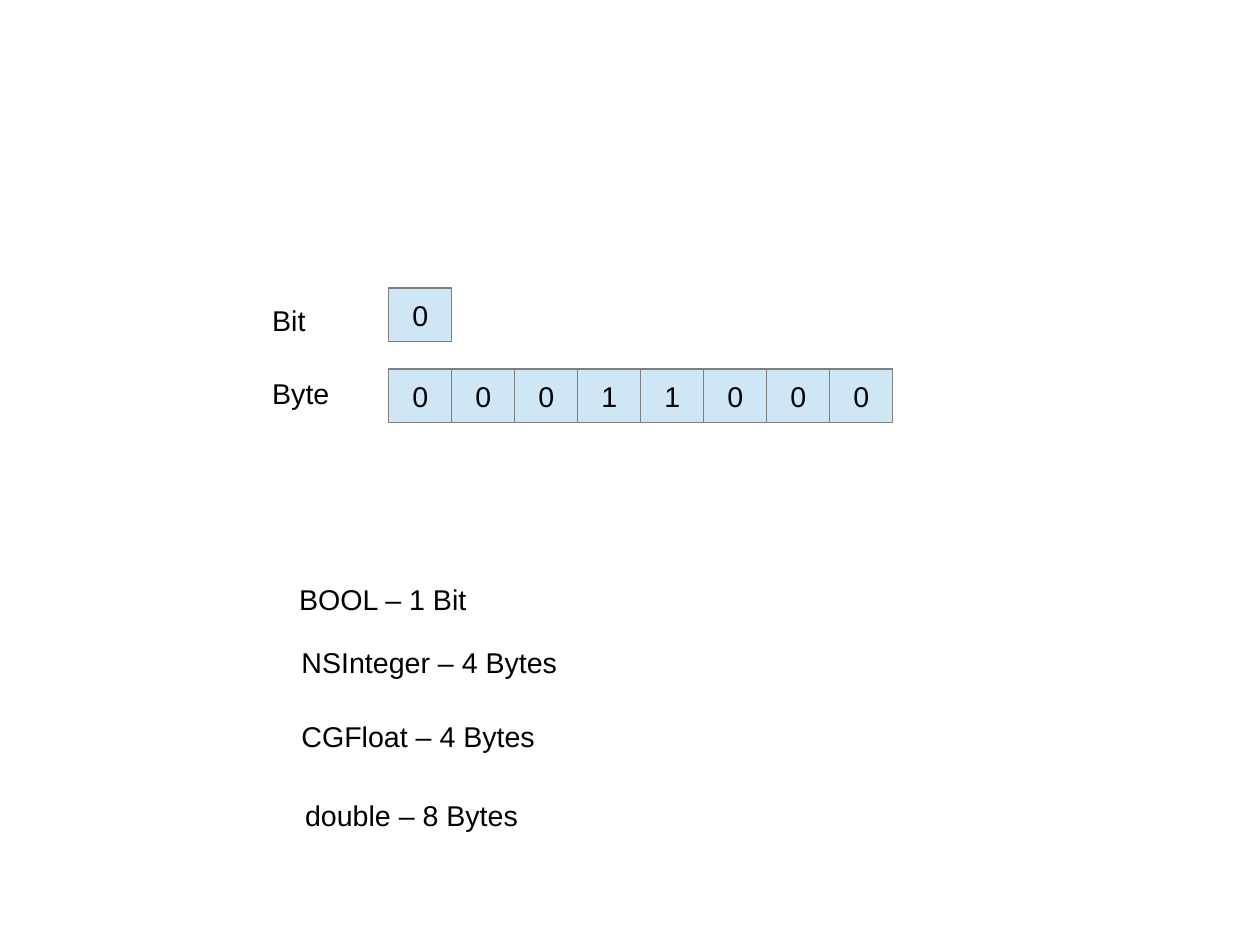
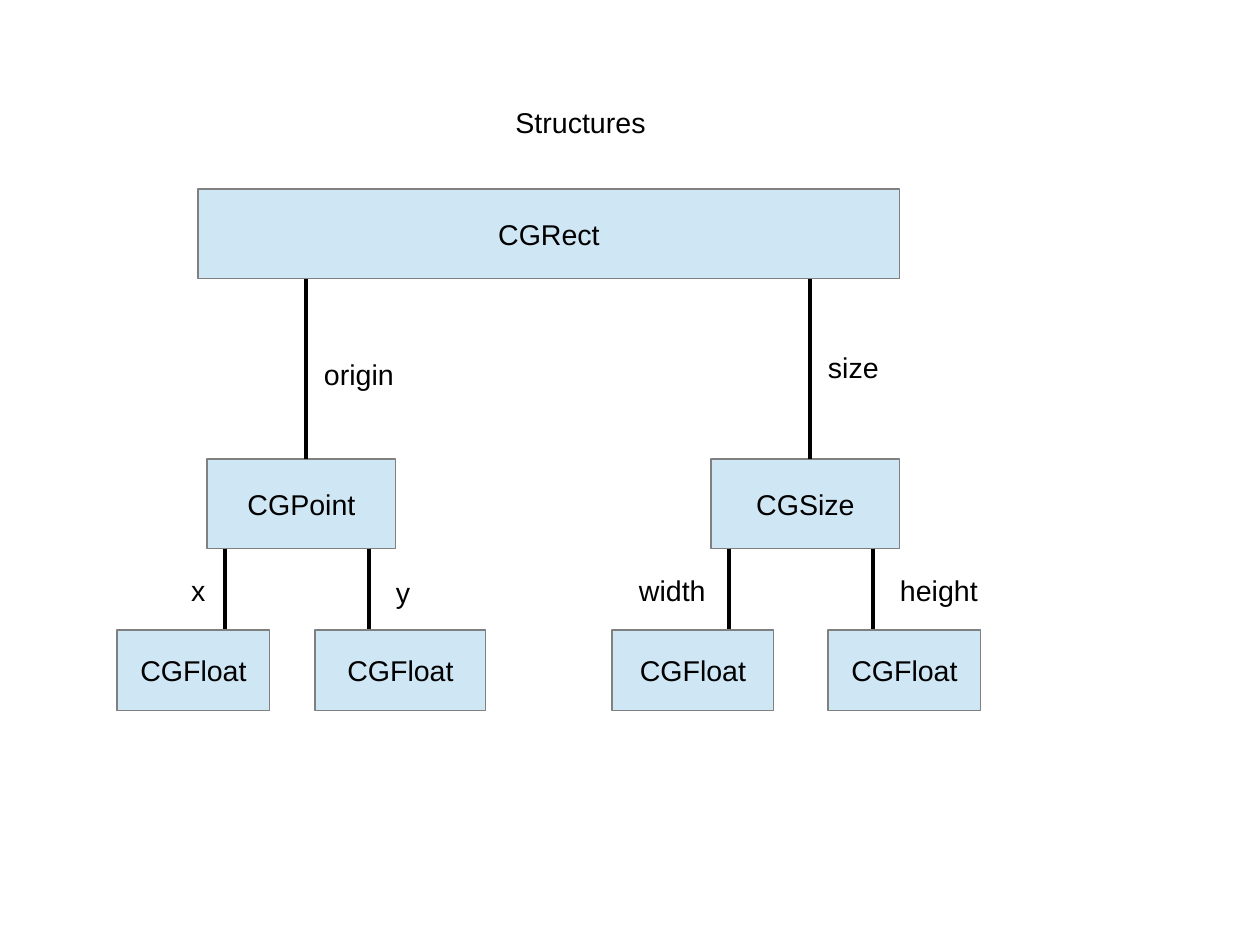
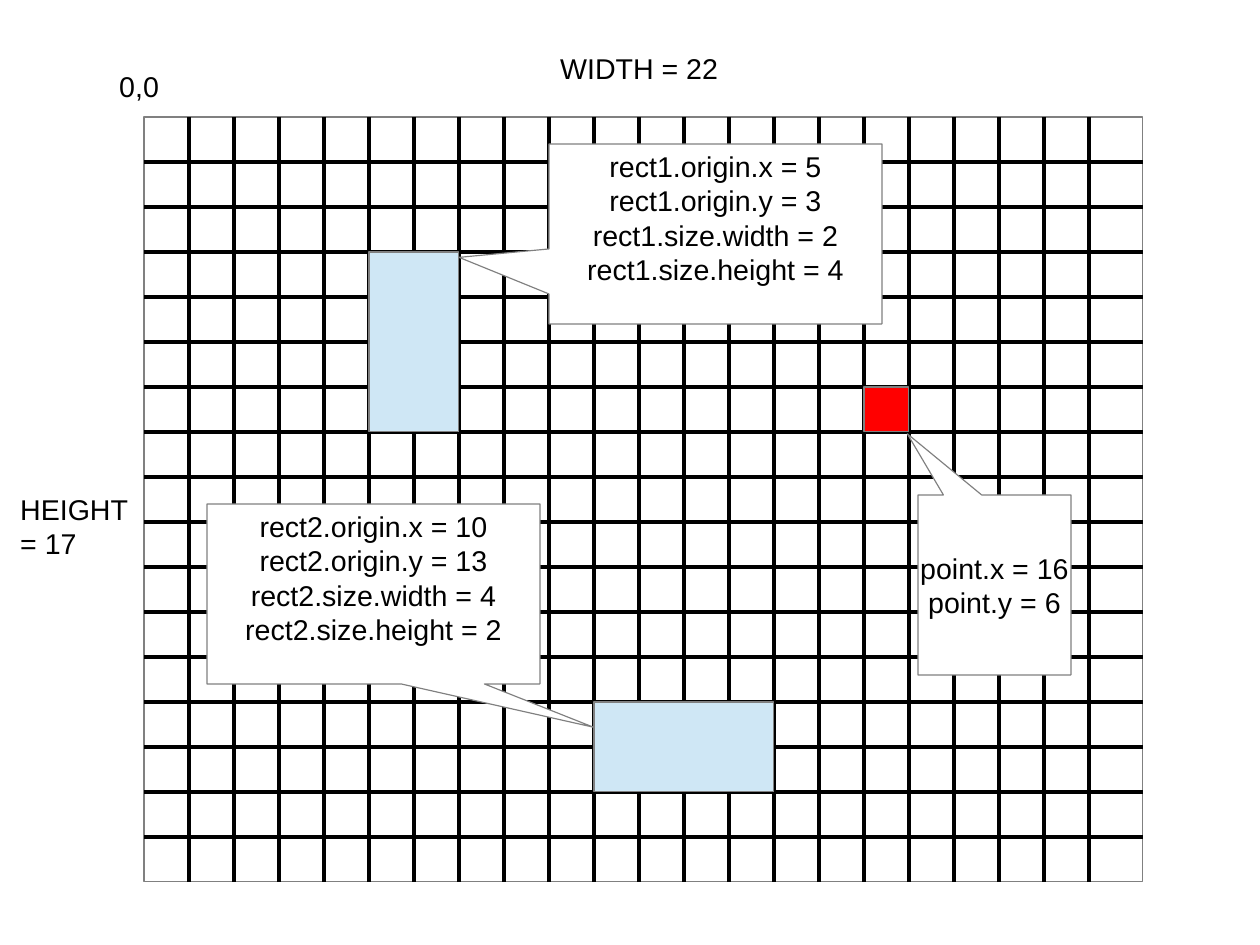
"""Build three slides on bits, structures and the coordinate grid."""
from dataclasses import dataclass
from typing import Optional

from lxml.etree import SubElement
from pptx import Presentation
from pptx.dml.color import RGBColor as RGB
from pptx.enum.shapes import MSO_CONNECTOR as Link, MSO_SHAPE as Shape
from pptx.enum.text import MSO_ANCHOR as Anchor, MSO_AUTO_SIZE as Fit, PP_ALIGN as Align
from pptx.oxml.ns import qn
from pptx.util import Cm, Pt

COLS, ROWS = 28, 21
UNIT = Cm(1)
FONT, SIZE = "Arial", Pt(18)
LINE_ROWS = 0.97
COLORS = {
    "ink": "000000",
    "edge": "808080",
    "box": "CFE7F5",
    "paper": "FFFFFF",
    "point": "FF0000",
}


@dataclass
class Box:
    col: float
    row: float
    cols: float
    rows: float
    text: str = ""
    fill: str = "box"


@dataclass
class Label:
    col: float
    row: float
    cols: float
    text: str


@dataclass
class Callout:
    box: Box
    tip: tuple[float, float]
    bottom: Optional[float] = None


@dataclass
class Line:
    col: float
    row: float
    end_col: float
    end_row: float


def span(*counts: float) -> list[int]:
    return [round(n * UNIT) for n in counts]


def color(name: str) -> RGB:
    return RGB.from_string(COLORS[name])


def write(tf, text: str, align: Align, anchor: Anchor) -> None:
    tf.text = text
    tf.vertical_anchor = anchor
    for p in tf.paragraphs:
        p.alignment = align
        p.font.name, p.font.size = FONT, SIZE
        p.font.color.rgb = color("ink")


def write_label(tf, text: str) -> None:
    write(tf, text, Align.LEFT, Anchor.TOP)
    tf.word_wrap = True
    tf.auto_size = Fit.SHAPE_TO_FIT_TEXT


def add_box(s, box: Box, kind: Shape = Shape.RECTANGLE):
    sp = s.shapes.add_shape(kind, *span(box.col, box.row, box.cols, box.rows))
    sp.shadow.inherit = False
    sp.fill.solid()
    sp.fill.fore_color.rgb = color(box.fill)
    sp.line.color.rgb = color("edge")
    sp.line.width = Pt(0)
    if box.text:
        write(sp.text_frame, box.text, Align.CENTER, Anchor.MIDDLE)
    return sp


def add_label(s, label: Label) -> None:
    rows = LINE_ROWS + 0.71 * label.text.count("\n")
    sp = s.shapes.add_textbox(*span(label.col, label.row, label.cols, rows))
    write_label(sp.text_frame, label.text)


def add_callout(s, callout: Callout) -> None:
    sp = add_box(s, callout.box, Shape.RECTANGULAR_CALLOUT)
    sp.adjustments[0], sp.adjustments[1] = callout.tip
    sp.text_frame.word_wrap = False
    if callout.bottom is not None:
        sp.text_frame.margin_bottom = Cm(callout.bottom)


def add_line(s, line: Line) -> None:
    sp = s.shapes.add_connector(
        Link.STRAIGHT, *span(line.col, line.row, line.end_col, line.end_row)
    )
    sp.line.color.rgb = color("ink")
    sp.line.width = Pt(0)
    SubElement(sp._element.spPr, qn("a:effectLst"))


def build_bits(prs) -> None:
    s = prs.slides.add_slide(prs.slide_layouts[6])
    left, cell_cols, cell_rows = 8.64, 1.4, 1.2
    for row, bits in ((6.4, "0"), (8.2, "00011000")):
        for i, bit in enumerate(bits):
            add_box(s, Box(left + i * cell_cols, row, cell_cols, cell_rows, bit))
    for label in (
        Label(5.8, 6.6, 1.3, "Bit"),
        Label(5.8, 8.23, 1.85, "Byte"),
        Label(6.4, 12.8, 4.3, "BOOL – 1 Bit"),
        Label(6.45, 14.2, 6.35, "NSInteger – 4 Bytes"),
        Label(6.45, 15.85, 6.35, "CGFloat – 4 Bytes"),
        Label(6.53, 17.6, 6.35, "double – 8 Bytes"),
    ):
        add_label(s, label)


def build_structures(prs) -> None:
    s = prs.slides.add_slide(prs.slide_layouts[5])
    title = s.shapes.title
    title.left, title.top, title.width, title.height = span(11.2, 2.2, 3.45, LINE_ROWS)
    write_label(title.text_frame, "Structures")

    rect_row, part_row, float_row, part_rows = 4.2, 10.2, 14, 2
    add_box(s, Box(4.4, rect_row, 15.6, part_rows, "CGRect"))
    for col, name in ((4.6, "CGPoint"), (15.8, "CGSize")):
        add_box(s, Box(col, part_row, 4.2, part_rows, name))
        add_line(s, Line(col + 2.2, rect_row + part_rows, col + 2.2, part_row))
        for field_col in (col + 0.4, col + 3.6):
            add_line(s, Line(field_col, part_row + part_rows, field_col, float_row))
    for col, cols in ((2.6, 3.4), (7, 3.8), (13.6, 3.6), (18.4, 3.4)):
        add_box(s, Box(col, float_row, cols, 1.8, "CGFloat"))
    for label in (
        Label(6.95, 7.8, 2.1, "origin"),
        Label(18.15, 7.65, 1.7, "size"),
        Label(4, 12.6, 0.9, "x"),
        Label(8.55, 12.65, 0.9, "y"),
        Label(13.95, 12.6, 2.05, "width"),
        Label(19.75, 12.6, 2.3, "height"),
    ):
        add_label(s, label)


def build_grid(prs) -> None:
    s = prs.slides.add_slide(prs.slide_layouts[6])
    left, top, width, height = 3.2, 2.6, 22, 17
    right, bottom = left + width + 0.2, top + height
    add_box(s, Box(left, top, right - left, height, fill="paper"))
    for x in range(1, width):
        add_line(s, Line(left + x, top, left + x, bottom))
    for y in range(1, height):
        add_line(s, Line(left, top + y, right, top + y))
    for x, y, cols, rows, fill in (
        (5, 3, 2, 4, "box"),
        (10, 13, 4, 2, "box"),
        (16, 6, 1, 1, "point"),
    ):
        add_box(s, Box(left + x, top + y, cols, rows, fill=fill))

    def rect_text(name: str, x: int, y: int, cols: int, rows: int) -> str:
        return "\n".join((
            f"{name}.origin.x = {x}",
            f"{name}.origin.y = {y}",
            f"{name}.size.width = {cols}",
            f"{name}.size.height = {rows}",
        ))

    rect1, rect2 = rect_text("rect1", 5, 3, 2, 4), rect_text("rect2", 10, 13, 4, 2)
    point = "point.x = 16\npoint.y = 6"
    for callout in (
        Callout(Box(12.2, 3.2, 7.4, 4, rect1, "paper"), (-0.77, 0.13), 0.85),
        Callout(Box(4.6, 11.2, 7.4, 4, rect2, "paper"), (0.66, 0.74), 0.85),
        Callout(Box(20.4, 11, 3.4, 4, point, "paper"), (-0.57, -0.84)),
    ):
        add_callout(s, callout)
    for label in (
        Label(12.2, 1, 4.1, f"WIDTH = {width}"),
        Label(0.2, 10.8, 3, f"HEIGHT\n= {height}"),
        Label(2.4, 1.4, 1.5, "0,0"),
    ):
        add_label(s, label)


def main() -> None:
    prs = Presentation()
    prs.slide_width, prs.slide_height = span(COLS, ROWS)
    for build in (build_bits, build_structures, build_grid):
        build(prs)
    prs.save("out.pptx")


if __name__ == "__main__":
    main()
